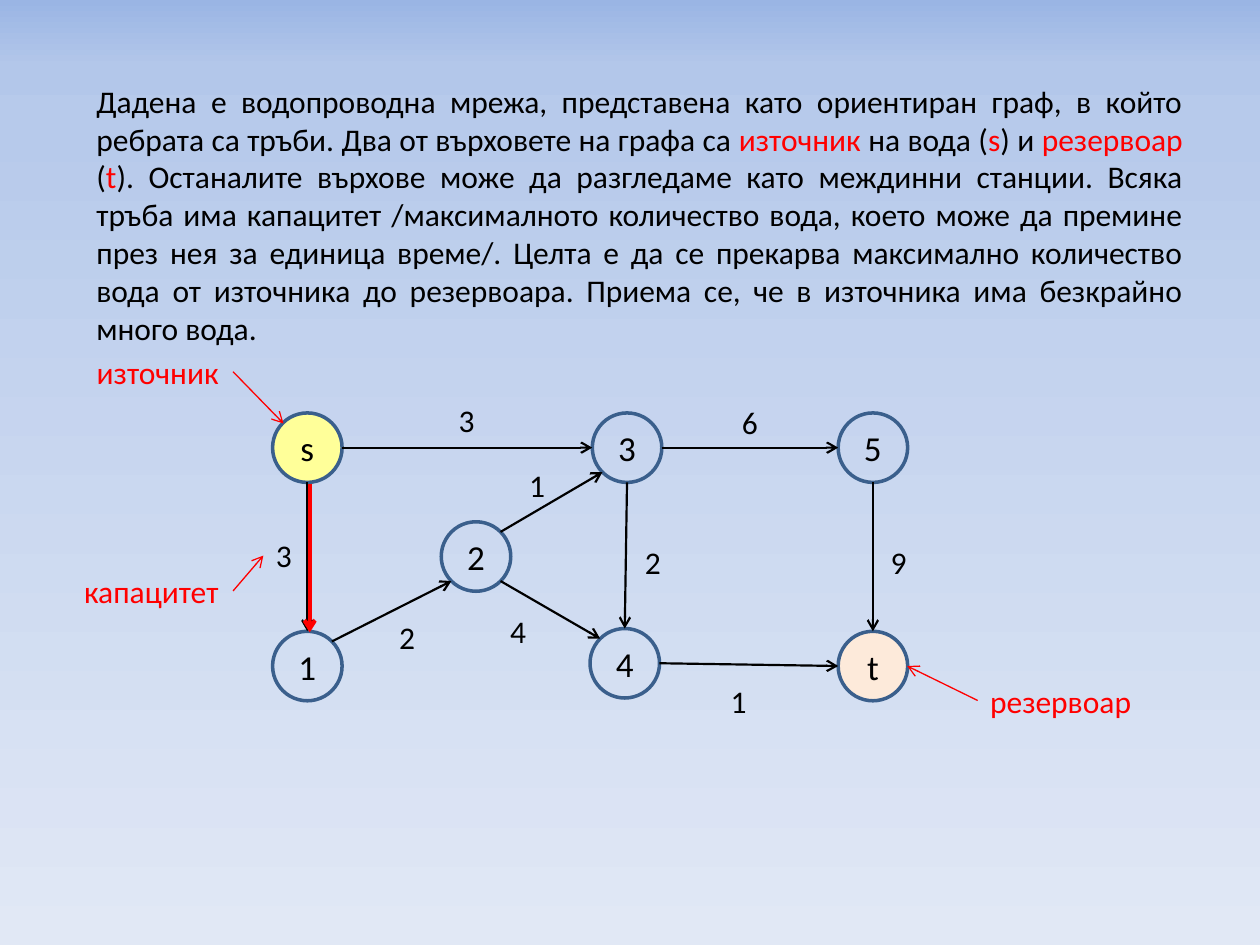
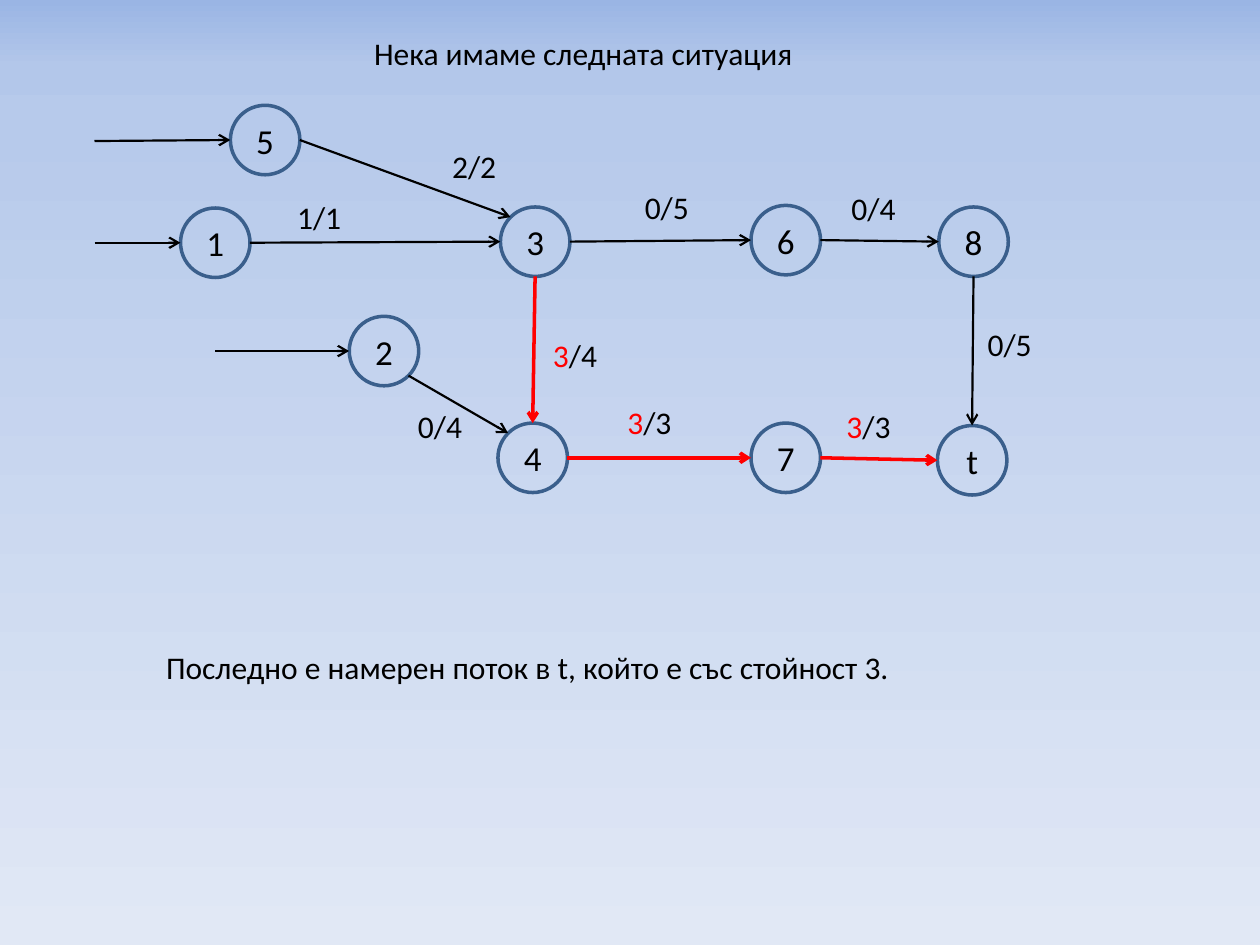
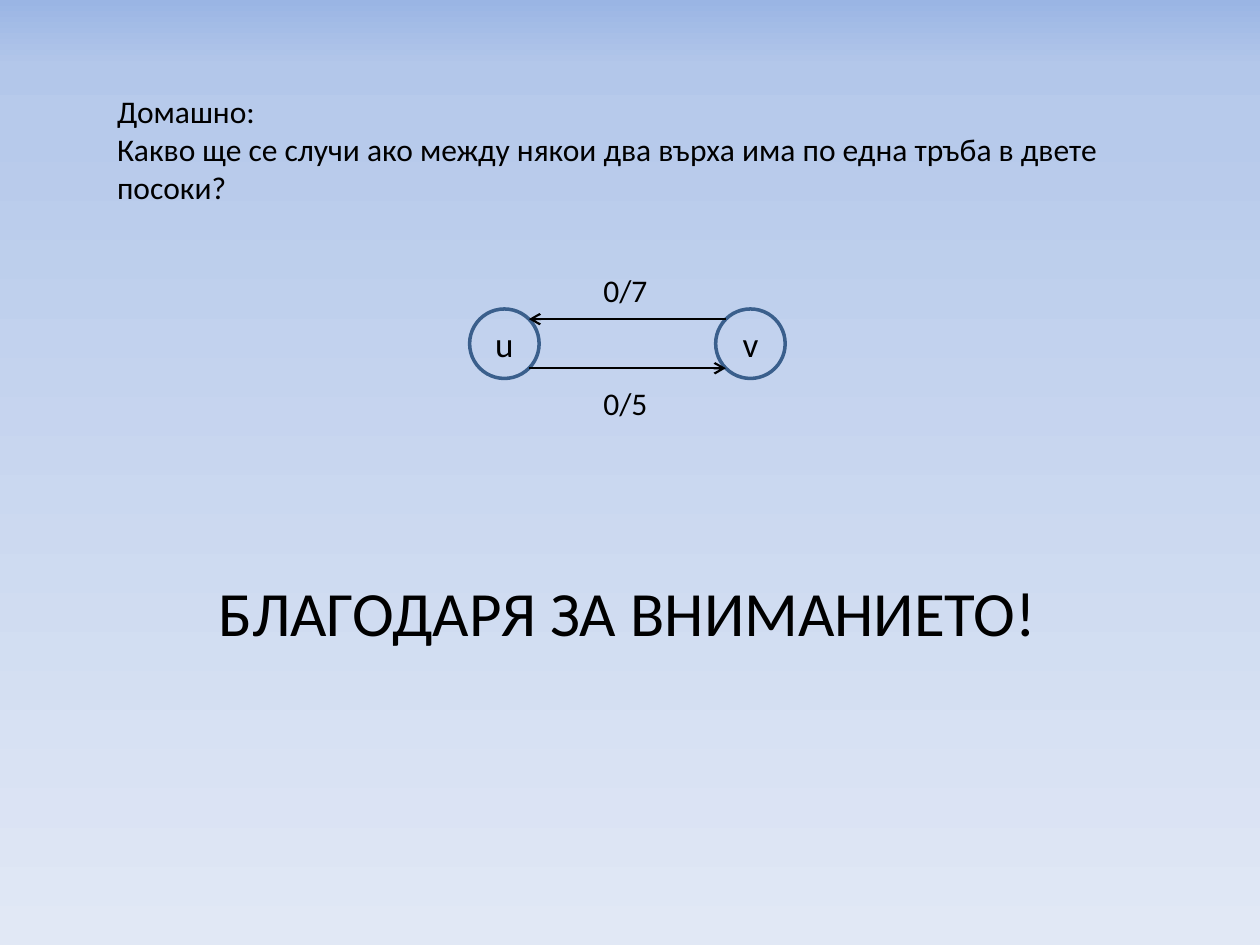
import pptx
import pptx.util
import pptx.dml.color
import pptx.enum.shapes
import pptx.enum.text
import pptx.oxml
import pptx.oxml.ns
import lxml.etree

Pt = pptx.util.Pt
qn = pptx.oxml.ns.qn
ALIGN = pptx.enum.text.PP_ALIGN
MSO_SHAPE = pptx.enum.shapes.MSO_SHAPE
STRAIGHT = pptx.enum.shapes.MSO_CONNECTOR.STRAIGHT

# Shared look
FONT = "Calibri"
BLACK, RED, RIM = "000000", "FF0000", "3A5F8C"
SKY = [(0, "9AB5E4"), (7, "B3C7EA"), (13, "B7CAEB"), (100, "E1E8F5")]
THIN, EDGE, FLOW, STRONG = 0.75, 1.25, 2, 2.25
R = 19.85   # node radius
D = 14.04   # diagonal offset on the node rim
RIM_POINTS = {"E": (R, 0), "W": (-R, 0), "N": (0, -R), "S": (0, R),
              "NE": (D, -D), "NW": (-D, -D), "SE": (D, D), "SW": (-D, D)}
LABEL_H = 29


def rgb(value):
    return pptx.dml.color.RGBColor.from_string(value)


def write(tf, text, size, align=ALIGN.LEFT, color=BLACK):
    """Fill a text frame; parts between asterisks are red."""
    for i, line in enumerate(text.split("\n")):
        p = tf.paragraphs[0] if i == 0 else tf.add_paragraph()
        p.alignment = align
        for j, part in enumerate(line.split("*")):
            if part:
                r = p.add_run()
                r.text = part
                r.font.name = FONT
                r.font.size = Pt(size)
                r.font.color.rgb = rgb(RED if j % 2 else color)


# Slide content: nodes by centre, edges by rim points, free arrows by ends
network = {
    "texts": [
        (48, 43.2, 635, 160, ALIGN.JUSTIFY,
         "Дадена е водопроводна мрежа, представена като ориентиран граф, в който "
         "ребрата са тръби. Два от върховете на графа са *източник* на вода (*s*) и "
         "*резервоар *(*t*). Останалите върхове може да разгледаме като междинни "
         "станции. Всяка тръба има капацитет /максималното количество вода, което "
         "може да премине през нея за единица време/. Целта е да се прекарва "
         "максимално количество вода от източника до резервоара. Приема се, че в "
         "източника има безкрайно много вода."),
        (48.2, 198, 85, LABEL_H, ALIGN.LEFT, "*източник*"),
        (558.7, 386, 96.5, LABEL_H, ALIGN.LEFT, "*резервоар*"),
        (41, 323.3, 92, LABEL_H, ALIGN.LEFT, "*капацитет*"),
    ],
    "nodes": {"s": (175.6, 255.8), "3": (358.3, 255.8), "5": (498.8, 255.8),
              "2": (272, 318), "1": (175.6, 380.6), "4": (357, 379),
              "t": (498.8, 380.6)},
    "fills": {"s": "FFFF99", "t": "FDEADA"},
    "edges": [("s", "E", "3", "W"), ("3", "E", "5", "W"), ("5", "S", "t", "N"),
              ("2", "NE", "3", "SW"), ("s", "S", "1", "N"), ("1", "NE", "2", "SW"),
              ("2", "SE", "4", "NW"), ("3", "S", "4", "N"), ("4", "E", "t", "W")],
    "label_width": 34,
    "labels": [(255, 225.4, "3"), (416.9, 226.8, "6"), (501.8, 306.5, "9"),
               (361.4, 306.5, "2"), (410.4, 386, "1"), (221, 349.5, "2"),
               (150.5, 303, "3"), (295.2, 263, "1"), (284.4, 346.3, "4")],
    "arrows": [(133.2, 212.4, 162, 242, RED, THIN),
               (558.7, 400.3, 518.4, 380.6, RED, THIN),
               (133.2, 337.7, 150.5, 317.5, RED, THIN),
               (177, 276.5, 177, 361.4, RED, STRONG)],
}

situation = {
    "title": (206.6, 15.8, 256.3, LABEL_H, ALIGN.LEFT, 18,
              "Нека имаме следната ситуация"),
    "texts": [(87.8, 366.5, 447, LABEL_H, ALIGN.LEFT,
               "Последно е намерен поток в t, който е със стойност 3.")],
    "nodes": {"3": (305.8, 138.1), "4": (304.4, 261.6), "2": (219.4, 200.6),
              "1": (123, 138.7), "5": (151.5, 80), "6": (449, 137.2),
              "7": (449, 261.6), "8": (556.3, 138.1), "t": (555.5, 263)},
    "edges": [("1", "E", "3", "W"), ("3", "E", "6", "W"), ("2", "SE", "4", "NW"),
              ("5", "E", "3", "NW"), ("6", "E", "8", "W"), ("8", "S", "t", "N")],
    "flow": [("3", "S", "4", "N"), ("4", "E", "7", "W"), ("7", "E", "t", "W")],
    "label_width": 52.5,
    "labels": [(308.9, 188.6, "*3*/4"), (231.8, 229, "0/4"), (162.7, 109.4, "1/1"),
               (251.3, 80.6, "2/2"), (361.4, 103.7, "0/5"), (351.4, 226.8, "*3*/3"),
               (479.5, 104.4, "0/4"), (476.6, 229, "*3*/3"), (557.3, 182.2, "0/5")],
    "arrows": [(54, 80.6, 131.6, 80, BLACK, EDGE),
               (54, 138.7, 103.1, 138.7, BLACK, EDGE),
               (123, 200.6, 199.5, 200.6, BLACK, EDGE)],
}

homework = {
    "title": (86.4, 324, 544.3, 51, ALIGN.CENTER, 36, "БЛАГОДАРЯ ЗА ВНИМАНИЕТО!"),
    "texts": [(59.8, 49, 629.3, 72.7, ALIGN.LEFT,
               "Домашно:\nКакво ще се случи ако между някои два върха има "
               "по една тръба в двете посоки?")],
    "nodes": {"u": (288.2, 196.4), "v": (428.8, 196.4)},
    "edges": [("u", "SE", "v", "SW"), ("v", "NW", "u", "NE")],
    "label_width": 74,
    "labels": [(337.7, 151.2, "0/7"), (337.7, 216, "0/5")],
}

prs = pptx.Presentation()
prs.slide_width, prs.slide_height = Pt(720), Pt(540)

# Gradient background, set once on the master
master = prs.slide_master
fill = master.background.fill
fill.gradient()
fill.gradient_angle = 270
stops = master.element.find(".//" + qn("a:gsLst"))
for stop in list(stops):
    stops.remove(stop)
for position, color in SKY:
    gs = lxml.etree.SubElement(stops, qn("a:gs"), pos=str(position * 1000))
    lxml.etree.SubElement(gs, qn("a:srgbClr"), val=color)

for content in (network, situation, homework):
    has_title = "title" in content
    s = prs.slides.add_slide(prs.slide_layouts[5 if has_title else 6])

    # Title
    if has_title:
        x, y, w, h, align, size, text = content["title"]
        sp = s.shapes.title
        sp.left, sp.top, sp.width, sp.height = Pt(x), Pt(y), Pt(w), Pt(h)
        tf = sp.text_frame
        tf.auto_size = pptx.enum.text.MSO_AUTO_SIZE.NONE
        tf.word_wrap = False
        tf.vertical_anchor = pptx.enum.text.MSO_ANCHOR.TOP
        write(tf, text, size, align)

    # Nodes
    nodes = content["nodes"]
    for name, (x, y) in nodes.items():
        sp = s.shapes.add_shape(MSO_SHAPE.OVAL, Pt(x - R), Pt(y - R),
                                Pt(2 * R), Pt(2 * R))
        sp.shadow.inherit = False
        sp.line.color.rgb = rgb(RIM)
        sp.line.width = Pt(2)
        if name in content.get("fills", {}):
            sp.fill.solid()
            sp.fill.fore_color.rgb = rgb(content["fills"][name])
        else:
            sp.fill.background()
        tf = sp.text_frame
        tf.vertical_anchor = pptx.enum.text.MSO_ANCHOR.MIDDLE
        write(tf, name, 20, ALIGN.CENTER)

    # Edges between nodes, then free arrows
    arrows = []
    for key, color, width in (("edges", BLACK, EDGE), ("flow", RED, FLOW)):
        for a, side_a, b, side_b in content.get(key, []):
            (xa, ya), (xb, yb) = nodes[a], nodes[b]
            (dxa, dya), (dxb, dyb) = RIM_POINTS[side_a], RIM_POINTS[side_b]
            arrows.append((xa + dxa, ya + dya, xb + dxb, yb + dyb, color, width))
    for x1, y1, x2, y2, color, width in arrows + content.get("arrows", []):
        line = s.shapes.add_connector(STRAIGHT, Pt(x1), Pt(y1), Pt(x2), Pt(y2))
        line.line.color.rgb = rgb(color)
        line.line.width = Pt(width)
        lxml.etree.SubElement(line.line._get_or_add_ln(), qn("a:tailEnd"), type="arrow")
        lxml.etree.SubElement(line._element.spPr, qn("a:effectLst"))

    # Edge labels and running text
    labels = [(x, y, content["label_width"], LABEL_H, ALIGN.LEFT, text)
              for x, y, text in content["labels"]]
    for x, y, w, h, align, text in content["texts"] + labels:
        tf = s.shapes.add_textbox(Pt(x), Pt(y), Pt(w), Pt(h)).text_frame
        tf.word_wrap = h > LABEL_H
        write(tf, text, 18, align)

prs.save("out.pptx")
